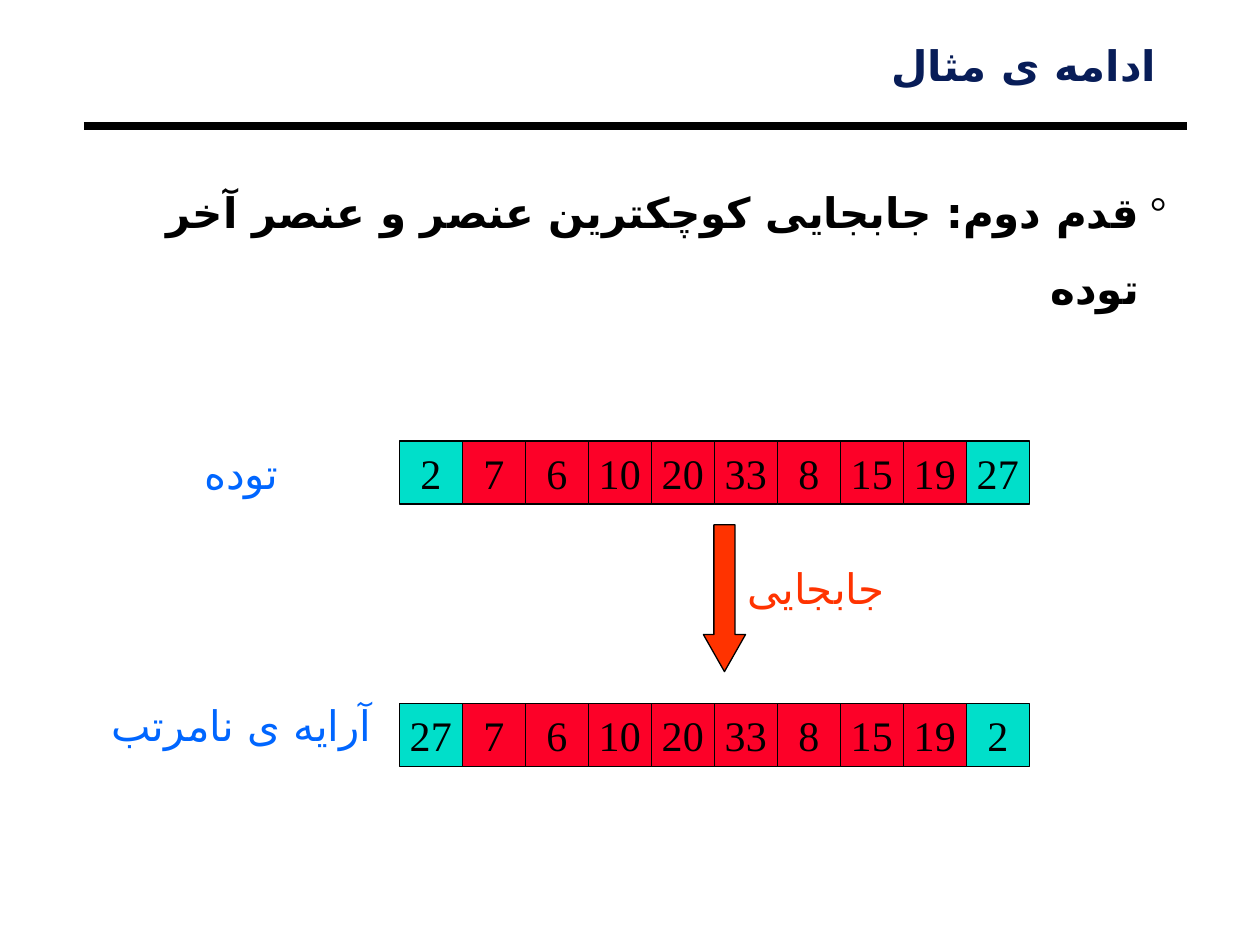
from dataclasses import dataclass

from lxml.etree import SubElement
from pptx import Presentation
from pptx.dml.color import RGBColor
from pptx.enum.shapes import MSO_CONNECTOR as Connector, MSO_SHAPE as Shape
from pptx.enum.text import MSO_ANCHOR as Anchor, PP_ALIGN as Align
from pptx.oxml.ns import qn
from pptx.util import Cm, Pt


@dataclass(frozen=True)
class Theme:
    black: str = "000000"
    title: str = "081D58"
    label: str = "0066FF"
    swap: str = "FF3300"
    moved: str = "00DFCA"
    kept: str = "FC0128"
    title_font: str = "Roboto"
    body_font: str = "Calibri"
    figure_font: str = "Times New Roman"
    persian_font: str = "DejaVu Sans"
    size: int = 24
    rule: float = 4.5
    outline: float = 0.75


THEME = Theme()

# Content
TITLE = "ادامه ی مثال"
STEP = "قدم دوم: جابجایی کوچکترین عنصر و عنصر آخر توده"
SWAP = "جابجایی"
HEAP = [2, 7, 6, 10, 20, 33, 8, 15, 19, 27]
SWAPPED = [HEAP[-1], *HEAP[1:-1], HEAP[0]]

# Each row: label, label height, label top, values, cells top (cm)
ROWS = [
    ("توده", 1.27, 8.89, HEAP, 8.89),
    ("آرایه ی نامرتب", 2.29, 13.97, SWAPPED, 14.18),
]
CELL = 1.27
CELLS_LEFT = 8.05
LABEL_LEFT, LABEL_WIDTH = 1.9, 5.93
HEADING_INSETS = (0.18, 0.08)
FIGURE_INSETS = (0.25, 0.13)


def write(shape, text, color, font, align, bold=False, rtl=False,
          insets=FIGURE_INSETS, wrap=True):
    frame = shape.text_frame
    frame.word_wrap = wrap
    frame.margin_left = frame.margin_right = Cm(insets[0])
    frame.margin_top = frame.margin_bottom = Cm(insets[1])
    paragraph = frame.paragraphs[0]
    paragraph.alignment = align
    if rtl:
        paragraph._p.get_or_add_pPr().set("rtl", "1")
    run = paragraph.add_run()
    run.text = text
    run.font.size = Pt(THEME.size)
    run.font.bold = bold
    run.font.color.rgb = RGBColor.from_string(color)
    run.font.name = font
    # Persian letters take the complex-script font
    SubElement(run._r.get_or_add_rPr(), qn("a:cs"),
               typeface=THEME.persian_font)
    return paragraph


def add_text(slide, box, *args, **style):
    return write(slide.shapes.add_textbox(*map(Cm, box)), *args, **style)


def add_filled(slide, kind, box, fill):
    shape = slide.shapes.add_shape(kind, *map(Cm, box))
    shape.shadow.inherit = False
    shape.fill.solid()
    shape.fill.fore_color.rgb = RGBColor.from_string(fill)
    shape.line.color.rgb = RGBColor.from_string(THEME.black)
    shape.line.width = Pt(THEME.outline)
    return shape


def add_heading(slide):
    # Rule under the title
    rule = slide.shapes.add_connector(
        Connector.STRAIGHT, Cm(1.69), Cm(2.54), Cm(23.92), Cm(2.54))
    rule.line.color.rgb = RGBColor.from_string(THEME.black)
    rule.line.width = Pt(THEME.rule)
    SubElement(rule._element.spPr, qn("a:effectLst"))

    title = add_text(slide, (2.22, 0.85, 21.27, 1.69), TITLE, THEME.title,
                     THEME.title_font, Align.RIGHT, bold=True, rtl=True,
                     insets=HEADING_INSETS)
    title.line_spacing = 0.87

    # Bulleted step
    step = add_text(slide, (1.9, 3.18, 21.8, 3.2), STEP, THEME.black,
                    THEME.body_font, Align.RIGHT, bold=True, rtl=True,
                    insets=HEADING_INSETS)
    step.line_spacing = 1.5
    properties = step._p.get_or_add_pPr()
    properties.set("marL", str(Cm(0.56)))
    properties.set("indent", str(Cm(-0.56)))
    bullet_color = SubElement(properties, qn("a:buClr"))
    SubElement(bullet_color, qn("a:srgbClr"), val=THEME.black)
    SubElement(properties, qn("a:buFont"), typeface=THEME.figure_font)
    SubElement(properties, qn("a:buChar"), char="°")


def add_row(slide, label, height, label_top, values, top):
    add_text(slide, (LABEL_LEFT, label_top, LABEL_WIDTH, height), label,
             THEME.label, THEME.figure_font, Align.CENTER, rtl=True)
    for i, value in enumerate(values):
        fill = THEME.moved if i in (0, len(values) - 1) else THEME.kept
        cell = add_filled(slide, Shape.RECTANGLE,
                          (CELLS_LEFT + i * CELL, top, CELL, CELL), fill)
        write(cell, str(value), THEME.black, THEME.figure_font,
              Align.CENTER, wrap=False)
        cell.text_frame.vertical_anchor = Anchor.MIDDLE


def add_swap(slide):
    arrow = add_filled(slide, Shape.DOWN_ARROW, (14.18, 10.58, 0.85, 2.96),
                       THEME.swap)
    arrow.adjustments[0] = 0.5
    arrow.adjustments[1] = 0.88
    add_text(slide, (14.82, 11.22, 3.6, 1.27), SWAP, THEME.swap,
             THEME.figure_font, Align.LEFT)


def main():
    deck = Presentation()
    deck.slide_width, deck.slide_height = Cm(25.4), Cm(19.05)
    slide = deck.slides.add_slide(deck.slide_layouts[6])
    add_heading(slide)
    add_swap(slide)
    for row in ROWS:
        add_row(slide, *row)
    deck.save("out.pptx")


if __name__ == "__main__":
    main()
